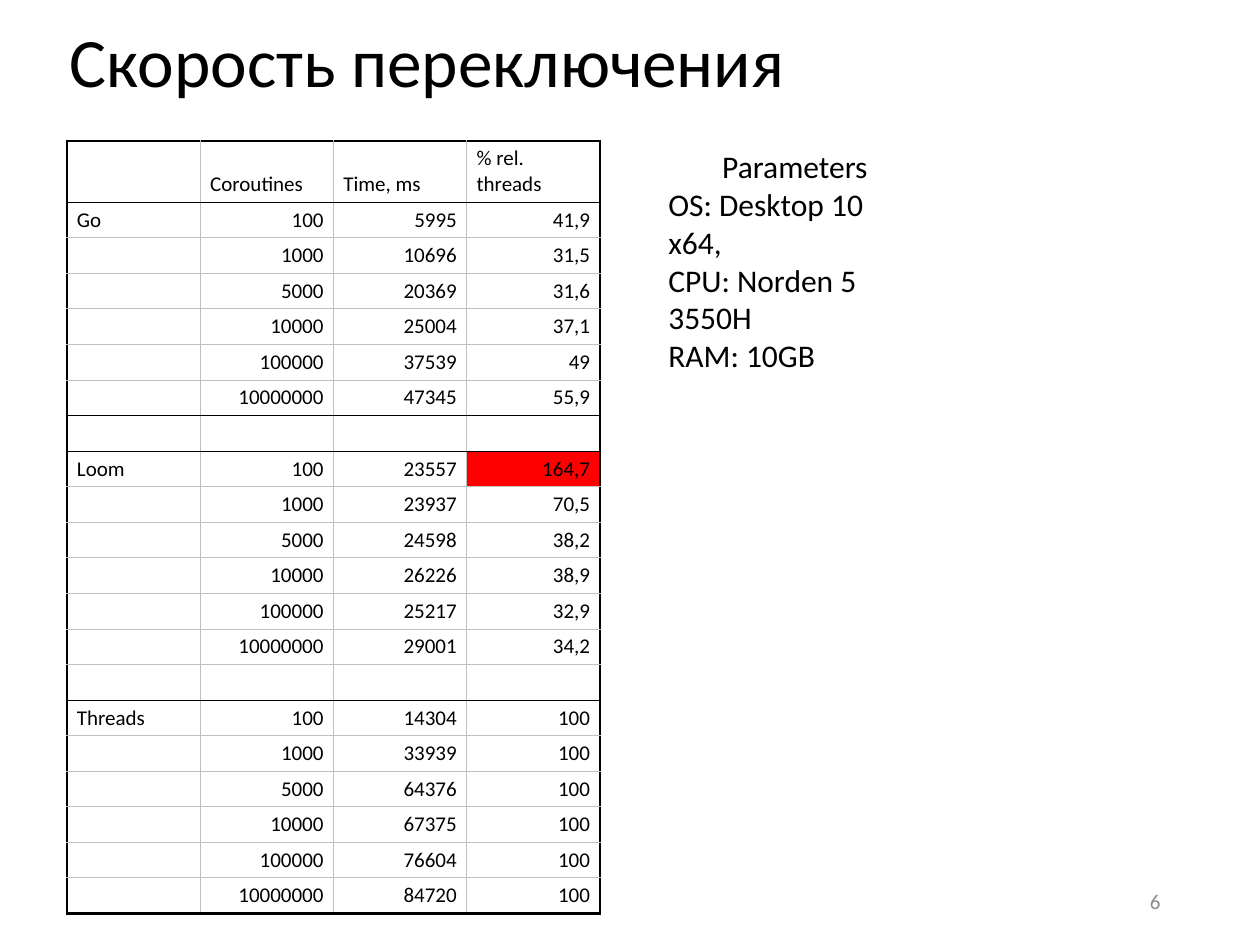
from pptx import Presentation
from pptx.dml.color import RGBColor
from pptx.enum.text import MSO_ANCHOR as Anchor, MSO_AUTO_SIZE as AutoSize, PP_ALIGN as Align
from pptx.oxml.ns import qn
from pptx.util import Pt
from lxml.etree import SubElement, Element

PIXEL = 914400 // 126
FONT = "Calibri"
BLACK, GREY, WHITE, RED, PALE = "000000", "C0C0C0", "FFFFFF", "FF0000", "8C8C8C"

HEADER = ["", "Coroutines", "Time, ms", "% rel. threads"]
COUNTS = [100, 1000, 5000, 10000, 100000, 10000000]
RESULTS = {
    "Go": ([5995, 10696, 20369, 25004, 37539, 47345],
           ["41,9", "31,5", "31,6", "37,1", "49", "55,9"]),
    "Loom": ([23557, 23937, 24598, 26226, 25217, 29001],
             ["164,7", "70,5", "38,2", "38,9", "32,9", "34,2"]),
    "Threads": ([14304, 33939, 64376, 67375, 76604, 84720], ["100"] * 6),
}
PARAMETERS = ["Parameters", "OS: Desktop 10 x64,", "CPU: Norden 5 3550H", "RAM: 10GB"]


def px(*lengths):
    return [length * PIXEL for length in lengths]


def color(value):
    return RGBColor.from_string(value)


def style(paragraph, size, ink=BLACK, align=Align.LEFT):
    paragraph.alignment = align
    paragraph.font.name = FONT
    paragraph.font.size = Pt(size)
    paragraph.font.color.rgb = color(ink)


def set_borders(cell, borders):
    """Draw the left, right, top and bottom lines, each a (colour, points) pair."""
    properties = cell._tc.get_or_add_tcPr()
    for index, (side, (ink, width)) in enumerate(zip("LRTB", borders)):
        line = Element(qn(f"a:ln{side}"), w=str(Pt(width)))
        SubElement(SubElement(line, qn("a:solidFill")), qn("a:srgbClr"), val=ink)
        properties.insert(index, line)


def add_title(slide, box, text):
    title = slide.shapes.title
    title.left, title.top, title.width, title.height = px(*box)
    frame = title.text_frame
    frame.text = text
    frame.auto_size = AutoSize.NONE
    frame.vertical_anchor = Anchor.MIDDLE
    paragraph = frame.paragraphs[0]
    style(paragraph, 39.6)
    paragraph.line_spacing = 0.9


def table_rows():
    """Return all rows of text and the indexes of those that start a block."""
    rows, starts = [HEADER], []
    for name, (times, shares) in RESULTS.items():
        if starts:
            rows.append([""] * len(HEADER))
        starts.append(len(rows))
        for index, values in enumerate(zip(COUNTS, times, shares)):
            rows.append(["" if index else name, *map(str, values)])
    return rows, starts


def add_results(slide, box, header_height):
    rows, starts = table_rows()
    row_count, column_count = len(rows), len(HEADER)
    table = slide.shapes.add_table(row_count, column_count, *px(*box)).table
    table.first_row = table.horz_banding = False
    for column in table.columns:
        column.width = box[2] * PIXEL // column_count
    row_height = (box[3] - header_height) * PIXEL // (row_count - 1)
    for row in table.rows:
        row.height = row_height
    table.rows[0].height = header_height * PIXEL

    # Thick frame, thin black rules around blocks, grey grid
    thick, rule, grid = (BLACK, 1.8), (BLACK, 0.6), (GREY, 0.6)
    across = [grid] * (row_count + 1)
    for start in [*starts, starts[1] - 1]:
        across[start] = rule
    across[0] = across[-1] = thick
    down = [thick, *[grid] * (column_count - 1), thick]

    for r, texts in enumerate(rows):
        for c, text in enumerate(texts):
            cell = table.cell(r, c)
            cell.text = text
            cell.vertical_anchor = Anchor.BOTTOM
            cell.margin_left = cell.margin_right = 10 * PIXEL
            cell.margin_top = cell.margin_bottom = 5 * PIXEL
            paragraph = cell.text_frame.paragraphs[0]
            style(paragraph, 12, align=Align.RIGHT if r and c else Align.LEFT)
            if not text:
                # Keeps an empty cell from growing to the default size
                SubElement(paragraph._p, qn("a:endParaRPr"), sz="1200")
            cell.fill.solid()
            cell.fill.fore_color.rgb = color(RED if text == "164,7" else WHITE)
            set_borders(cell, (down[c], down[c + 1], across[r], across[r + 1]))


def add_text(slide, box, lines, size, ink=BLACK, first_align=Align.LEFT, anchor=Anchor.TOP):
    frame = slide.shapes.add_textbox(*px(*box)).text_frame
    frame.word_wrap = True
    frame.vertical_anchor = anchor
    frame.text = "\n".join(lines)
    for index, paragraph in enumerate(frame.paragraphs):
        style(paragraph, size, ink, Align.LEFT if index else first_align)


def build_slide(presentation):
    slide = presentation.slides.add_slide(presentation.slide_layouts[5])
    add_title(slide, (57, 33, 1086, 65), "Скорость переключения")
    add_results(slide, (67, 141, 533, 760), 57)
    # Slide number
    add_text(slide, (890, 876, 283, 50), ["6"], 12, PALE, Align.RIGHT, Anchor.MIDDLE)
    # Test machine
    add_text(slide, (656, 141, 278, 242), PARAMETERS, 18, first_align=Align.CENTER)


presentation = Presentation()
presentation.slide_width, presentation.slide_height = px(1260, 945)
build_slide(presentation)
presentation.save("out.pptx")
